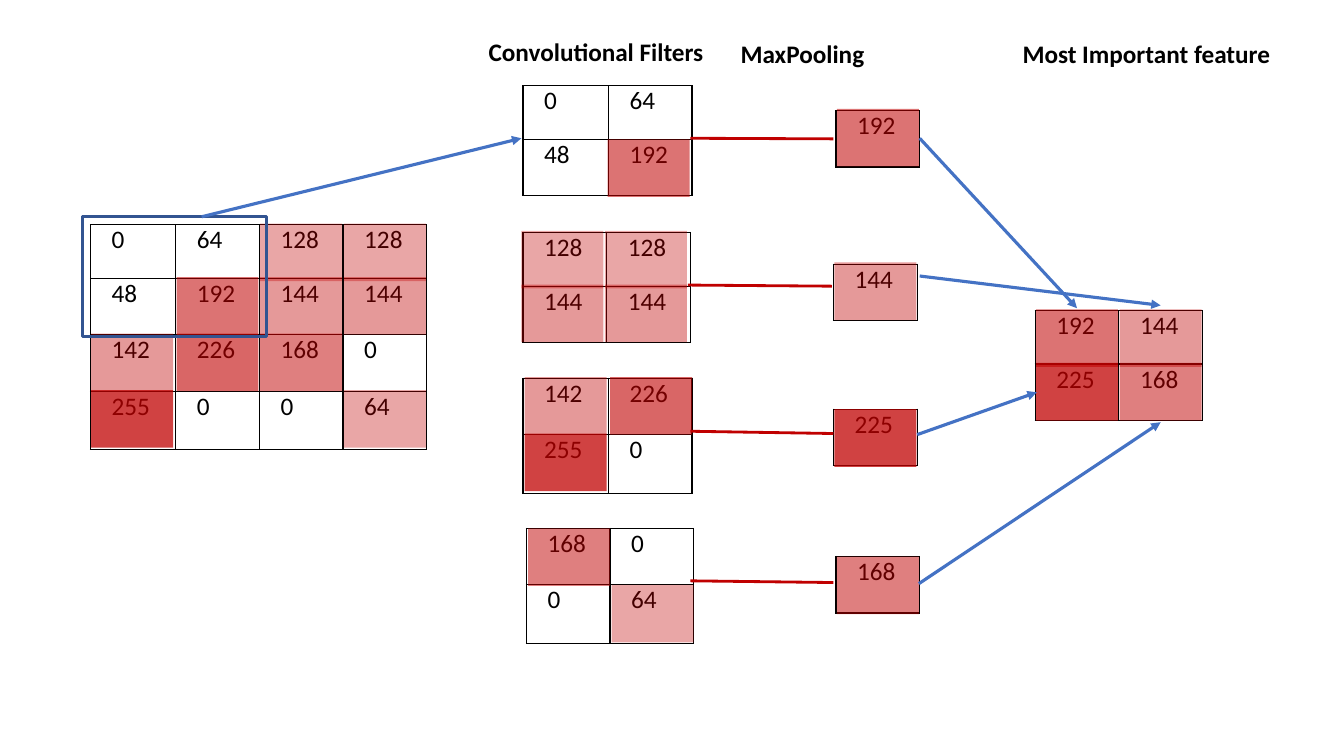
from lxml import etree
from pptx import Presentation
from pptx.dml.color import RGBColor
from pptx.enum.shapes import MSO_CONNECTOR, MSO_SHAPE
from pptx.enum.text import MSO_ANCHOR, MSO_AUTO_SIZE
from pptx.oxml import parse_xml
from pptx.oxml.ns import nsdecls, qn
from pptx.util import Inches, Pt

LINE = MSO_CONNECTOR.STRAIGHT
RECT = MSO_SHAPE.RECTANGLE
TOP = MSO_ANCHOR.TOP
GROW = MSO_AUTO_SIZE.SHAPE_TO_FIT_TEXT

COL, ROW = 0.83, 0.56
BLACK, WHITE, RED, BLUE, NAVY = "000000", "FFFFFF", "C00000", "4472C4", "325491"
TINT = {64: 35, 128: 35, 142: 40, 144: 40, 168: 50, 192: 55, 226: 60, 225: 74, 255: 74}
WIDE, EVEN = (1.02, 1), (1, 1)
UPPER, LOWER = (0.95, 1), (1, 1.04)

GRIDS = [
    (1.08, 3.98, (1.02, 1, 1, 1), (0.95, 1, 1, 1.04),
     [[0, 64, 128, 128], [48, 192, 144, 144], [142, 226, 168, 0], [255, 0, 0, 64]],
     (0.01, -0.02)),
    (6.25, 1.52, WIDE, UPPER, [[0, 64], [48, 192]], (-0.01, 0)),
    (6.25, 4.12, EVEN, UPPER, [[128, 128], [144, 144]], (-0.02, -0.03)),
    (6.25, 6.7, WIDE, LOWER, [[142, 226], [255, 0]], (0.02, -0.02)),
    (6.29, 9.36, EVEN, LOWER, [[168, 0], [0, 64]], (0.02, 0)),
    (9.99, 1.96, (1,), (1,), [[192]], (0.01, -0.03)),
    (9.96, 4.68, (1,), (1,), [[144]], (0.01, -0.03)),
    (9.96, 7.25, (1,), (1,), [[225]], (0.01, 0)),
    (9.99, 9.86, (1,), (1,), [[168]], (0.01, 0)),
    (12.37, 5.5, EVEN, UPPER, [[192, 144], [225, 168]], (0.01, -0.02)),
]
ARROWS = [
    (2.41, 3.84, 6.23, 2.45),
    (10.99, 4.89, 13.87, 5.41),
    (10.99, 2.45, 12.87, 5.46),
    (10.96, 7.7, 12.39, 6.95),
    (10.98, 10.34, 13.87, 7.48),
]
LINKS = [
    (8.25, 2.45, 9.96, 2.46),
    (8.22, 5.05, 9.94, 5.07),
    (8.25, 7.64, 9.96, 7.68),
    (8.25, 10.29, 9.96, 10.32),
]
HEADS = [
    ("Convolutional Filters", 5.72, 0.55, 2.83),
    ("MaxPooling", 8.73, 0.59, 1.73),
    ("Most Important feature", 12.1, 0.59, 3.23),
]


def wide(cols):
    return Inches(cols * COL)


def tall(rows):
    return Inches(rows * ROW)


def box(x, y, w, h):
    return wide(x), tall(y), wide(w), tall(h)


def paint(color, code):
    color.rgb = RGBColor.from_string(code)


def style(font, bold=False):
    font.name, font.size, font.bold = "Calibri", Pt(18), bold
    paint(font.color, BLACK)


def edge(cell):
    props = cell._tc.get_or_add_tcPr()
    for side in ("lnL", "lnR", "lnT", "lnB"):
        props.append(parse_xml(
            f'<a:{side} {nsdecls("a")} w="12700"><a:solidFill>'
            f'<a:srgbClr val="{BLACK}"/></a:solidFill></a:{side}>'))


def fill_cell(cell, value):
    cell.margin_left = cell.margin_right = Inches(0.21)
    cell.margin_top = cell.margin_bottom = 0
    cell.vertical_anchor = TOP
    cell.text = str(value)
    style(cell.text_frame.paragraphs[0].font)
    edge(cell)
    cell.fill.solid()
    paint(cell.fill.fore_color, WHITE)


def add_tint(slide, x, y, share):
    tint = slide.shapes.add_shape(RECT, *box(x, y, 0.98, 1.02))
    tint.shadow.inherit = False
    tint.line.fill.background()
    tint.fill.solid()
    paint(tint.fill.fore_color, RED)
    color = tint._element.spPr.find(qn("a:solidFill"))[0]
    etree.SubElement(color, qn("a:alpha"), val=str(share * 1000))


def add_grid(slide, x, y, cols, rows, values, shift):
    frame = slide.shapes.add_table(len(rows), len(cols), *box(x, y, sum(cols), sum(rows)))
    table = frame.table
    table.first_row = table.horz_banding = False
    for i, size in enumerate(cols):
        table.columns[i].width = wide(size)
    for j, size in enumerate(rows):
        table.rows[j].height = tall(size)
        for i, value in enumerate(values[j]):
            fill_cell(table.cell(j, i), value)
            plain = value == 64 and j == 0
            if value in TINT and not plain:
                left = x + sum(cols[:i]) + shift[0]
                top = y + sum(rows[:j]) + shift[1]
                add_tint(slide, left, top, TINT[value])


def add_focus(slide, x, y, w, h):
    focus = slide.shapes.add_shape(RECT, *box(x, y, w, h))
    focus.shadow.inherit = False
    focus.fill.background()
    focus.line.width = Pt(2.25)
    paint(focus.line.color, NAVY)


def add_line(slide, ends, code, width, arrow=False):
    x1, y1, x2, y2 = ends
    line = slide.shapes.add_connector(LINE, wide(x1), tall(y1), wide(x2), tall(y2))
    line.line.width = Pt(width)
    paint(line.line.color, code)
    props = line._element.spPr
    if arrow:
        etree.SubElement(props.find(qn("a:ln")), qn("a:tailEnd"), type="triangle")
    etree.SubElement(props, qn("a:effectLst"))


def add_head(slide, text, x, y, w):
    head = slide.shapes.add_textbox(*box(x, y, w, 0.71))
    frame = head.text_frame
    frame.word_wrap = False
    frame.auto_size = GROW
    frame.text = text
    style(frame.paragraphs[0].font, True)


def main():
    deck = Presentation()
    deck.slide_width, deck.slide_height = Inches(13.33), Inches(7.5)
    slide = deck.slides.add_slide(deck.slide_layouts[6])
    for grid in GRIDS:
        add_grid(slide, *grid)
    add_focus(slide, 0.99, 3.84, 2.2, 2.12)
    for ends in LINKS:
        add_line(slide, ends, RED, 0)
    for ends in ARROWS:
        add_line(slide, ends, BLUE, 2.25, True)
    for head in HEADS:
        add_head(slide, *head)
    deck.save("out.pptx")


if __name__ == "__main__":
    main()
